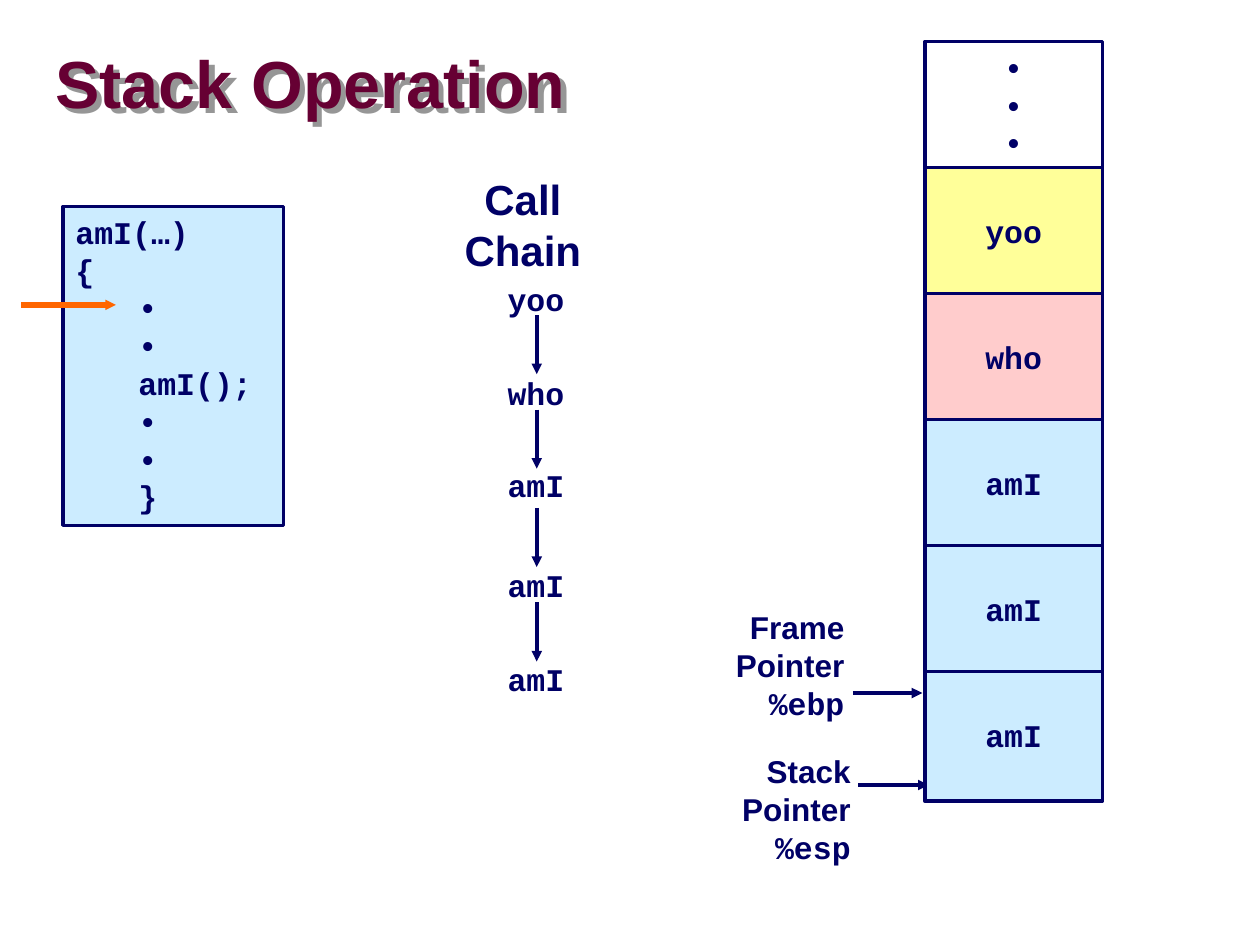
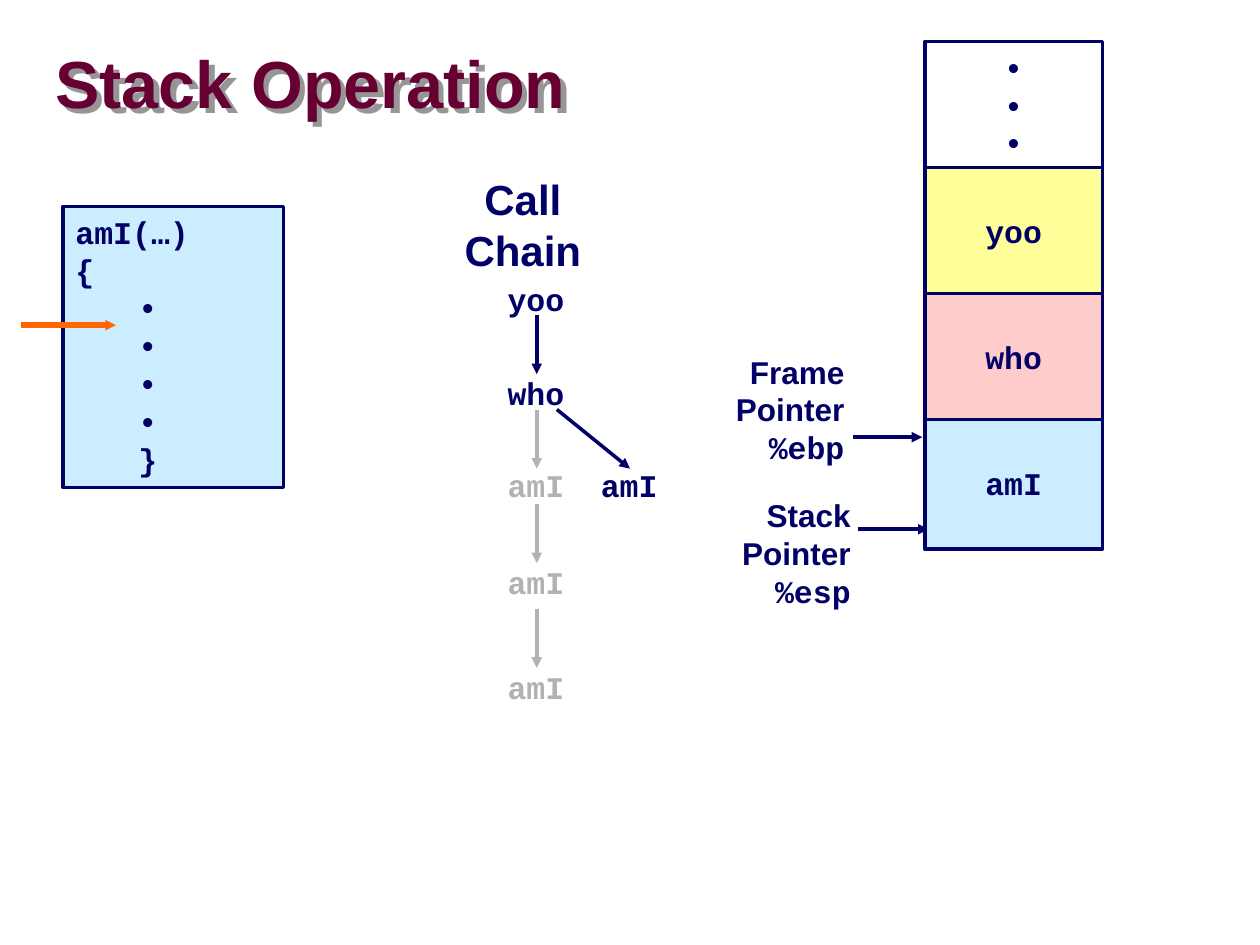
from dataclasses import dataclass

from lxml import etree
from pptx import Presentation
from pptx.dml.color import RGBColor
from pptx.enum.shapes import MSO_CONNECTOR, MSO_SHAPE
from pptx.enum.text import MSO_ANCHOR, PP_ALIGN
from pptx.oxml import parse_xml
from pptx.oxml.ns import nsdecls, qn
from pptx.util import Inches, Pt

STRAIGHT = MSO_CONNECTOR.STRAIGHT
RECTANGLE = MSO_SHAPE.RECTANGLE
TOP, MIDDLE = MSO_ANCHOR.TOP, MSO_ANCHOR.MIDDLE
LEFT, CENTER, RIGHT = PP_ALIGN.LEFT, PP_ALIGN.CENTER, PP_ALIGN.RIGHT


@dataclass(frozen=True)
class Theme:
    ink: str = "000066"
    title: str = "660033"
    title_shadow: str = "969696"
    muted: str = "B2B2B2"
    marker: str = "FF6600"
    yoo: str = "FFFF99"
    who: str = "FFCCCC"
    ami: str = "CCECFF"
    sans: str = "Arial"
    mono: str = "Courier New"
    title_size: float = 38
    heading_size: float = 24
    body_size: float = 18
    leading: float = 1.2
    line: float = 2
    marker_line: float = 3


THEME = Theme()
FRAME_FILLS = {"yoo": THEME.yoo, "who": THEME.who, "amI": THEME.ami}
FRAME_LEFT, FRAME_WIDTH, FRAME_HEIGHT = 7.34, 1.41, 1.03
STACK_TOP, FRAME_STEP = 0.33, 1.0
CHAIN_LEFT, CHAIN_AXIS, CALL_DROP = 3.93, 4.26, 0.47


@dataclass(frozen=True)
class Line:
    text: str
    font: str = THEME.mono
    indent: float = 0


@dataclass(frozen=True)
class Call:
    name: str
    top: float
    arrow_top: float | None = None
    color: str = THEME.ink


@dataclass(frozen=True)
class Pointer:
    name: str
    register: str
    right: float
    text_shift: float
    arrow_shift: float
    arrow_left: float
    arrow_right: float


@dataclass(frozen=True)
class Step:
    body: tuple[str, ...]
    code_height: float
    marker_y: float
    frames: tuple[str, ...]
    frame_pointer_y: float
    calls: tuple[Call, ...]
    branch: Call | None = None


POINTERS = (
    Pointer("Stack", "%esp", 6.85, 0.42, 0.73, 6.81, 7.37),
    Pointer("Frame", "%ebp", 6.8, -0.72, 0, 6.77, 7.32),
)

STEPS = (
    Step(
        body=("•", "•", "amI();", "•", "•", "}"),
        code_height=2.53,
        marker_y=2.42,
        frames=("yoo", "who", "amI", "amI", "amI"),
        frame_pointer_y=5.5,
        calls=(
            Call("yoo", 2.17),
            Call("who", 2.92, 2.5),
            Call("amI", 3.65, 3.25),
            Call("amI", 4.44, 4.03),
            Call("amI", 5.19, 4.78),
        ),
    ),
    Step(
        body=("•", "•", "•", "•", "}"),
        code_height=2.23,
        marker_y=2.58,
        frames=("yoo", "who", "amI"),
        frame_pointer_y=3.47,
        calls=(
            Call("yoo", 2.17),
            Call("who", 2.92, 2.5),
            Call("amI", 3.65, 3.25, THEME.muted),
            Call("amI", 4.42, 4.0, THEME.muted),
            Call("amI", 5.25, 4.83, THEME.muted),
        ),
        branch=Call("amI", 3.65, 3.25),
    ),
)


def rgb(color: str) -> RGBColor:
    return RGBColor.from_string(color)


def write(shape, lines: list[Line], align=LEFT, size: float = THEME.body_size,
          color: str = THEME.ink, top_inset: float = 0.05) -> None:
    frame = shape.text_frame
    frame.word_wrap = True
    frame.vertical_anchor = TOP
    frame.margin_left = frame.margin_right = Inches(0.1)
    frame.margin_top, frame.margin_bottom = Inches(top_inset), Inches(0.05)
    for index, line in enumerate(lines):
        para = frame.add_paragraph() if index else frame.paragraphs[0]
        para.text = line.text
        para.alignment = align
        para.line_spacing = Pt(size * THEME.leading)
        if line.indent:
            properties = para._p.get_or_add_pPr()
            properties.set("marL", str(Inches(line.indent)))
            properties.set("indent", "0")
        para.font.name = line.font
        para.font.size = Pt(size)
        para.font.bold = True
        para.font.color.rgb = rgb(color)


def add_label(page, left: float, top: float, width: float, height: float,
              lines: list[Line], **style) -> None:
    box = page.shapes.add_textbox(Inches(left), Inches(top), Inches(width), Inches(height))
    write(box, lines, **style)


def add_panel(page, left: float, top: float, width: float, height: float,
              fill: str | None, lines: list[Line], **style) -> None:
    panel = page.shapes.add_shape(
        RECTANGLE, Inches(left), Inches(top), Inches(width), Inches(height))
    panel.shadow.inherit = False
    if fill:
        panel.fill.solid()
        panel.fill.fore_color.rgb = rgb(fill)
    else:
        panel.fill.background()
    panel.line.color.rgb = rgb(THEME.ink)
    panel.line.width = Pt(THEME.line)
    write(panel, lines, **style)


def add_arrow(page, start: tuple[float, float], end: tuple[float, float],
              color: str = THEME.ink, width: float = THEME.line, head: str = "med") -> None:
    arrow = page.shapes.add_connector(
        STRAIGHT, *(Inches(value) for value in (*start, *end)))
    arrow.line.color.rgb = rgb(color)
    arrow.line.width = Pt(width)
    etree.SubElement(arrow.line._get_or_add_ln(), qn("a:tailEnd"),
                     type="triangle", w=head, len=head)
    etree.SubElement(arrow._element.spPr, qn("a:effectLst"))


def add_title(page, text: str) -> None:
    box = page.shapes.add_textbox(Inches(0.44), Inches(0.27), Inches(9.39), Inches(0.85))
    write(box, [Line(text, THEME.sans)], size=THEME.title_size, color=THEME.title)
    frame = box.text_frame
    frame.vertical_anchor = MIDDLE
    frame.margin_left = frame.margin_right = frame.margin_top = frame.margin_bottom = 0
    frame.paragraphs[0].line_spacing = 0.87
    box._element.spPr.append(parse_xml(
        f'<a:effectLst {nsdecls("a")}>'
        f'<a:outerShdw dist="{Inches(0.06)}" dir="2700000" algn="ctr" rotWithShape="0">'
        f'<a:srgbClr val="{THEME.title_shadow}"/></a:outerShdw></a:effectLst>'))


def add_pointer(page, pointer: Pointer, base: float) -> None:
    arrow_y = base + pointer.arrow_shift
    add_arrow(page, (pointer.arrow_left, arrow_y), (pointer.arrow_right, arrow_y))
    width = 1.3
    add_label(page, pointer.right - width, base + pointer.text_shift, width, 1,
              [Line(pointer.name, THEME.sans), Line("Pointer", THEME.sans),
               Line(pointer.register)], align=RIGHT)


def add_stack(page, frames: tuple[str, ...]) -> None:
    add_panel(page, FRAME_LEFT, STACK_TOP, FRAME_WIDTH, FRAME_HEIGHT, None,
              [Line("•")] * 3, align=CENTER)
    for index, name in enumerate(frames, start=1):
        add_panel(page, FRAME_LEFT, STACK_TOP + index * FRAME_STEP, FRAME_WIDTH,
                  FRAME_HEIGHT, FRAME_FILLS[name], [Line(name)],
                  align=CENTER, top_inset=0.35)


def add_call(page, call: Call, shift: float = 0, arrow_start: float = CHAIN_AXIS) -> None:
    add_label(page, CHAIN_LEFT + shift, call.top, 0.75, 0.4, [Line(call.name)],
              color=call.color)
    if call.arrow_top is not None:
        add_arrow(page, (arrow_start, call.arrow_top),
                  (CHAIN_AXIS + shift, call.arrow_top + CALL_DROP), call.color)


def add_call_chain(page, step: Step) -> None:
    add_label(page, 3.55, 1.33, 1.2, 0.9, [Line("Call Chain", THEME.sans)],
              align=CENTER, size=THEME.heading_size)
    for call in step.calls:
        add_call(page, call)
    if step.branch:
        add_call(page, step.branch, shift=0.74, arrow_start=4.42)


def add_code(page, step: Step) -> None:
    lines = [Line("amI(…)"), Line("{")]
    lines += [Line(text, indent=0.5) for text in step.body]
    add_panel(page, 0.5, 1.64, 1.75, step.code_height, THEME.ami, lines)
    add_arrow(page, (0.17, step.marker_y), (0.92, step.marker_y),
              THEME.marker, THEME.marker_line, "sm")


def add_step(deck, step: Step) -> None:
    page = deck.slides.add_slide(deck.slide_layouts[6])
    add_title(page, "Stack Operation")
    for pointer in POINTERS:
        add_pointer(page, pointer, step.frame_pointer_y)
    add_stack(page, step.frames)
    add_call_chain(page, step)
    add_code(page, step)


def main() -> None:
    deck = Presentation()
    deck.slide_width, deck.slide_height = Inches(10), Inches(7.5)
    for step in STEPS:
        add_step(deck, step)
    deck.save("out.pptx")


if __name__ == "__main__":
    main()
